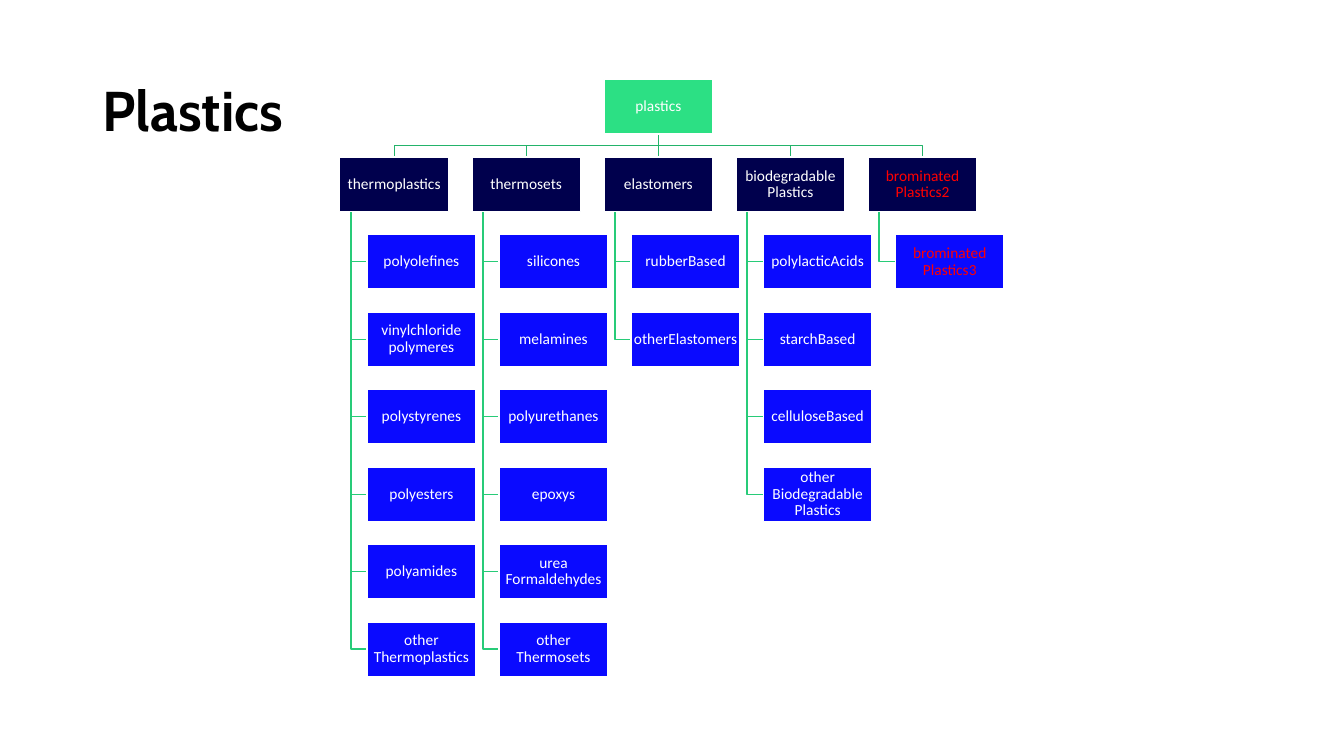
from lxml.etree import SubElement
from pptx import Presentation
from pptx.dml.color import RGBColor
from pptx.enum.shapes import MSO_CONNECTOR as Link, MSO_SHAPE as Kind
from pptx.enum.text import MSO_ANCHOR as Anchor, PP_ALIGN as Align
from pptx.oxml.ns import qn
from pptx.util import Inches, Pt

TITLE = "Plastics"
ROOT = "plastics"
GROUPS = [
    ("thermoplastics", ["polyolefines", "vinylchloride\npolymeres", "polystyrenes",
                        "polyesters", "polyamides", "other\nThermoplastics"]),
    ("thermosets", ["silicones", "melamines", "polyurethanes", "epoxys",
                    "urea\nFormaldehydes", "other\nThermosets"]),
    ("elastomers", ["rubberBased", "otherElastomers"]),
    ("biodegradable\nPlastics", ["polylacticAcids", "starchBased", "celluloseBased",
                                 "other\nBiodegradable\nPlastics"]),
    ("brominated\nPlastics2", ["brominated\nPlastics3"]),
]
GREEN, NAVY, BLUE = "2CE084", "00004D", "0A0AFF"
WHITE, RED, BLACK = "FFFFFF", "FF0000", "000000"
STEM, BRANCH = "23B36A", "28CB78"

# Grid of the tree, in inches
LEFT, TOP = 3.37, 0.79
COL, ROW = 1.31, 5.38 / 7
WIDE, HIGH = 1.08, 0.54
INDENT, SPINE = 0.27, 0.11
MID = len(GROUPS) // 2


def tint(code):
    return RGBColor.from_string(code)


def style(para, font, size, color, bold=False):
    para.line_spacing = 0.9
    for run in para.runs:
        run.font.name, run.font.size, run.font.bold = font, Pt(size), bold
        run.font.color.rgb = tint(color)
    for gap in para._p.findall(qn("a:br")):
        SubElement(gap, qn("a:rPr")).set("sz", str(size * 100))


def left(col):
    return LEFT + col * COL


def top(row):
    return TOP + row * ROW


def center(col):
    return left(col) + WIDE / 2


def add_box(label, x, y, fill):
    box = slide.shapes.add_shape(Kind.RECTANGLE, Inches(x), Inches(y),
                                 Inches(WIDE), Inches(HIGH))
    box.shadow.inherit = False
    box.fill.solid()
    box.fill.fore_color.rgb = tint(fill)
    box.line.color.rgb = tint(WHITE)
    box.line.width = Pt(1)
    frame = box.text_frame
    frame.word_wrap = True
    frame.vertical_anchor = Anchor.MIDDLE
    frame.margin_left = frame.margin_right = Inches(0.01)
    frame.margin_top = frame.margin_bottom = Inches(0.01)
    para = frame.paragraphs[0]
    para.text = label
    para.alignment = Align.CENTER
    style(para, "Calibri", 11, RED if label.startswith("brominated") else WHITE)
    return box


def add_path(points, color):
    """Draw an open bent line through points given in inches."""
    first, *rest = [(Inches(x), Inches(y)) for x, y in points]
    pen = slide.shapes.build_freeform(*first)
    pen.add_line_segments(rest, close=False)
    path = pen.convert_to_shape()
    path.shadow.inherit = False
    path.fill.background()
    path.line.color.rgb = tint(color)
    path.line.width = Pt(1)


def add_stem(x, start, end):
    stem = slide.shapes.add_connector(Link.STRAIGHT, Inches(x), Inches(start),
                                      Inches(x), Inches(end))
    SubElement(stem._element.spPr, qn("a:effectLst"))
    stem.line.color.rgb = tint(STEM)
    stem.line.width = Pt(1)
    return stem


deck = Presentation()
deck.slide_width, deck.slide_height = Inches(13.33), Inches(7.5)
slide = deck.slides.add_slide(deck.slide_layouts[6])

head = slide.shapes.add_textbox(Inches(0.92), Inches(0.4), Inches(11.5), Inches(1.45))
head.text_frame.word_wrap = True
head.text_frame.vertical_anchor = Anchor.MIDDLE
head.text_frame.text = TITLE
style(head.text_frame.paragraphs[0], "Cabin", 40, BLACK, bold=True)

# Lines come first so that the boxes lie over them
base, bend = TOP + HIGH, (TOP + HIGH + top(1)) / 2
for col, (name, kinds) in enumerate(GROUPS):
    if col != MID:
        add_path([(center(MID), base), (center(MID), bend),
                  (center(col), bend), (center(col), top(1))], STEM)
    spine = left(col) + SPINE
    for row in range(2, 2 + len(kinds)):
        y = top(row) + HIGH / 2
        add_path([(spine, top(1) + HIGH), (spine, y), (left(col) + INDENT, y)], BRANCH)
stem = add_stem(center(MID), base, top(1))

root = add_box(ROOT, left(MID), top(0), GREEN)
stem.begin_connect(root, 2)
for col, (name, kinds) in enumerate(GROUPS):
    group = add_box(name, left(col), top(1), NAVY)
    if col == MID:
        stem.end_connect(group, 0)
    for row, kind in enumerate(kinds, 2):
        add_box(kind, left(col) + INDENT, top(row), BLUE)

deck.save("out.pptx")
